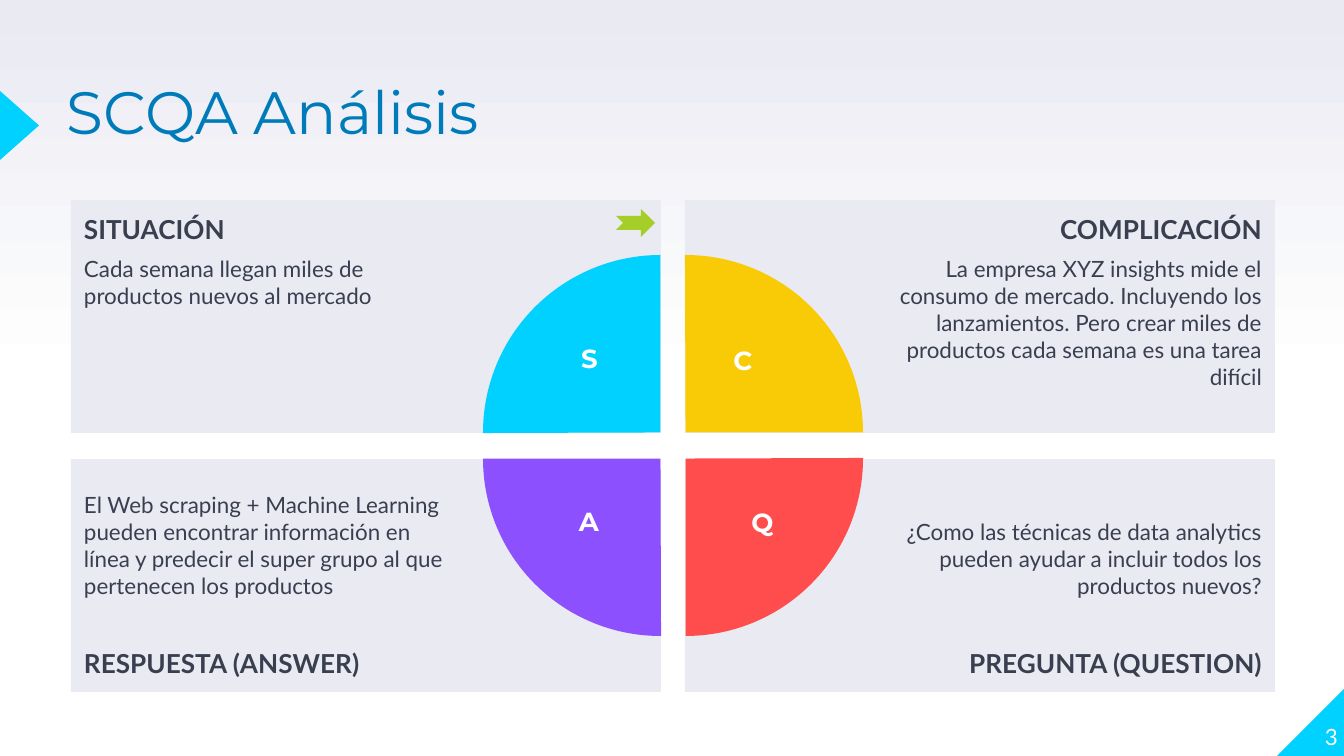
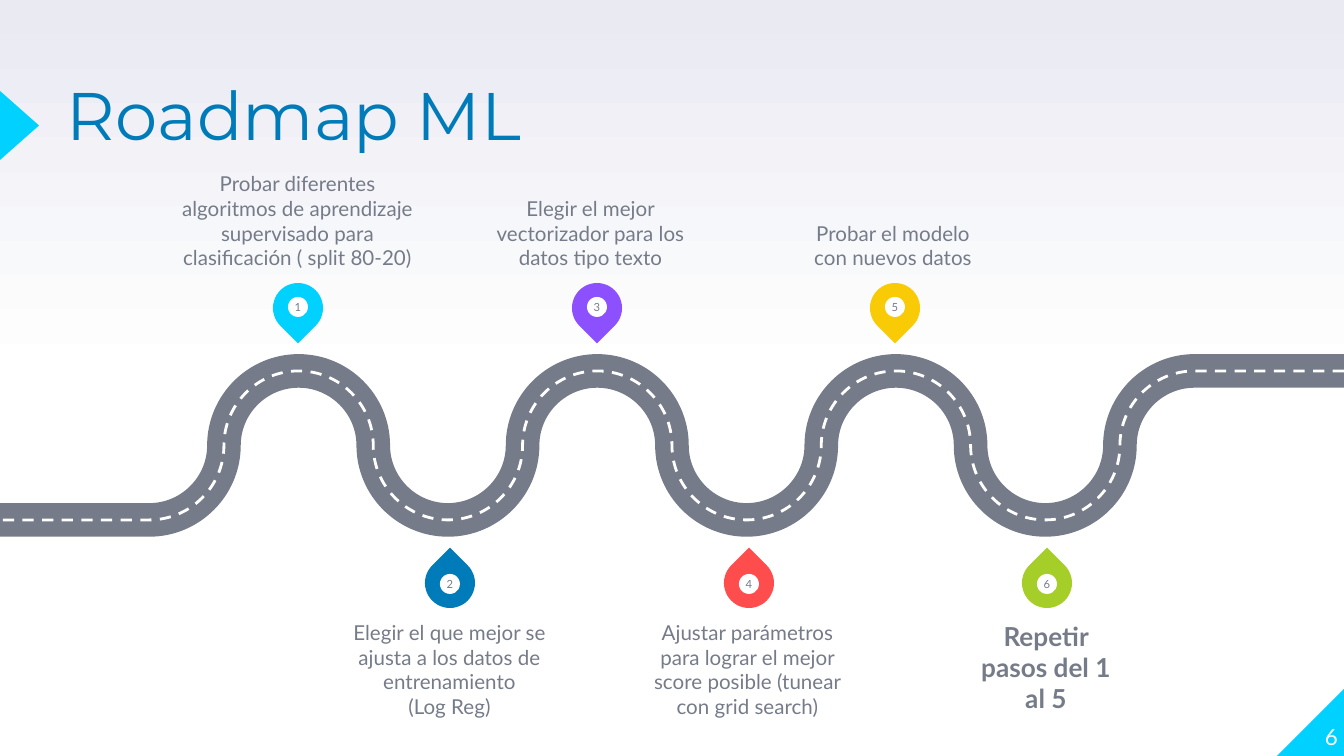
from copy import deepcopy
from dataclasses import dataclass
from typing import Any

from pptx import Presentation
from pptx.dml.color import RGBColor as Rgb
from pptx.enum.dml import MSO_LINE as Dash
from pptx.enum.shapes import MSO_SHAPE as Kind
from pptx.enum.text import MSO_ANCHOR as Anchor
from pptx.enum.text import MSO_AUTO_SIZE as Fit
from pptx.enum.text import PP_ALIGN as Align
from pptx.oxml.ns import qn
from pptx.oxml.xmlchemy import OxmlElement as Node
from pptx.shapes.autoshape import Shape
from pptx.slide import Slide
from pptx.util import Pt

WIDE, HIGH = 1344, 756
SCALE = 914400 / 134.4
ARC = WIDE / 18  # radius of each bend of the road
LOOP = 4 * ARC  # one full wave of the road


@dataclass(frozen=True)
class Theme:
    """Colours, fonts and type sizes of the deck."""
    white: str = "FFFFFF"
    mist: str = "E9EAF2"
    ink: str = "3A3F50"
    gray: str = "757B89"
    blue: str = "007BB9"
    cyan: str = "00D1FF"
    gold: str = "F9CB07"
    red: str = "FF4D4D"
    plum: str = "8C50FF"
    lime: str = "A6CE28"
    head: str = "Montserrat"
    body: str = "Lato"
    large: int = 14
    base: int = 12
    small: int = 11
    tiny: int = 6


@dataclass(frozen=True)
class Box:
    """A frame in pixels."""
    x: float
    y: float
    w: float
    h: float


@dataclass(frozen=True)
class Para:
    """A paragraph of one run."""
    text: str
    size: float
    color: str
    font: str
    bold: bool = False
    before: float = 0
    after: float = 0


@dataclass(frozen=True)
class Panel:
    """One quarter of the SCQA wheel with its text; col and row are 0 or 1."""
    col: int
    row: int
    turn: int
    color: str
    mark: str
    spot: Box
    head: str
    body: str


@dataclass(frozen=True)
class Step:
    """One stop on the road, with its caption's left edge and width."""
    color: str
    left: int
    width: int
    lines: tuple[str, ...]
    strong: bool = False


T = Theme()

PANELS = (
    Panel(0, 0, 0, T.cyan, "S", Box(564, 329, 51, 66), "SITUACIÓN",
          "Cada semana llegan miles de productos nuevos al mercado"),
    Panel(1, 0, 90, T.gold, "C", Box(714, 331, 58, 66), "COMPLICACIÓN",
          "La empresa XYZ insights mide el consumo de mercado. Incluyendo los "
          "lanzamientos. Pero crear miles de productos cada semana es una "
          "tarea difícil"),
    Panel(0, 1, 270, T.plum, "A", Box(559, 492, 60, 65), "RESPUESTA (ANSWER)",
          "El Web scraping + Machine Learning pueden encontrar información en "
          "línea y predecir el super grupo al que pertenecen los productos"),
    Panel(1, 1, 180, T.red, "Q", Box(731, 493, 63, 66), "PREGUNTA (QUESTION)",
          "¿Como las técnicas de data analytics pueden ayudar a incluir todos "
          "los productos nuevos?"),
)

STEPS = (
    Step(T.cyan, 172, 251, ("Probar diferentes algoritmos de aprendizaje "
                            "supervisado para clasificación ( split 80-20)",)),
    Step(T.blue, 348, 203, ("Elegir el que mejor se ajusta a los datos de "
                            "entrenamiento", "(Log Reg)")),
    Step(T.plum, 489, 203, ("Elegir el mejor vectorizador para los datos "
                            "tipo texto",)),
    Step(T.red, 646, 203, ("Ajustar parámetros para lograr el mejor score "
                           "posible (tunear con grid search)",)),
    Step(T.gold, 798, 190, ("Probar el modelo con nuevos datos",)),
    Step(T.lime, 976, 140, ("Repetir pasos del 1 al 5",), True),
)


def px(num: float) -> int:
    """Turn pixels into EMU."""
    return round(num * SCALE)


def frame(box: Box) -> tuple[int, int, int, int]:
    """Give a box as EMU."""
    return px(box.x), px(box.y), px(box.w), px(box.h)


def write(shape: Any, paras: list[Para], align: Align = Align.LEFT,
          anchor: Anchor = Anchor.TOP,
          pad: tuple[int, int, int, int] = (0, 0, 0, 0)) -> None:
    """Fill a shape with text; pad is left, top, right, bottom."""
    tf = shape.text_frame
    tf.word_wrap, tf.auto_size = True, Fit.NONE
    tf.vertical_anchor = anchor
    tf.margin_left, tf.margin_top, tf.margin_right, tf.margin_bottom = map(px, pad)
    for num, para in enumerate(paras):
        line = tf.add_paragraph() if num else tf.paragraphs[0]
        line.alignment = align
        line.space_before, line.space_after = Pt(para.before), Pt(para.after)
        run = line.add_run()
        run.text = para.text
        font = run.font
        font.name, font.size, font.bold = para.font, Pt(para.size), para.bold
        font.color.rgb = Rgb.from_string(para.color)


def draw(shapes: Any, kind: Kind, box: Box, color: str, turn: int = 0) -> Shape:
    """Add a flat filled shape without outline."""
    shape = shapes.add_shape(kind, *frame(box))
    shape.shadow.inherit = False
    shape.fill.solid()
    shape.fill.fore_color.rgb = Rgb.from_string(color)
    shape.line.fill.background()
    shape.rotation = turn
    return shape


def paint(back: Any) -> None:
    """Give a background the fade from white up to mist."""
    fill = back.fill
    fill.gradient()
    fill.gradient_angle = 90
    first = fill.gradient_stops[0]
    first.color.rgb = Rgb.from_string(T.white)
    first.position = 0
    last = fill.gradient_stops[1]
    last.color.rgb = Rgb.from_string(T.mist)
    last.position = 1
    stops = back.fill._fill._gradFill.find(qn("a:gsLst"))
    mid = deepcopy(stops[0])
    mid.set("pos", "50000")
    stops.insert(1, mid)


def start(deck: Any, title: str, size: int, page: int) -> Slide:
    """Add a slide with corner, marker, title and page number."""
    slide = deck.slides.add_slide(deck.slide_layouts[5])
    paint(slide.background)
    corner = draw(slide.shapes, Kind.RIGHT_TRIANGLE, Box(1277, 687, 69, 69), T.cyan)
    corner.element.spPr.xfrm.set("flipH", "1")
    draw(slide.shapes, Kind.ISOSCELES_TRIANGLE, Box(-15, 106, 69, 39), T.cyan, 90)
    name = slide.shapes.title
    name.left, name.top, name.width, name.height = frame(Box(67, 89, 829, 159))
    write(name, [Para(title, size, T.blue, T.head)])
    name.text_frame.paragraphs[0].line_spacing = 0.8
    label = slide.shapes.add_textbox(*frame(Box(1271, 681, 67, 69)))
    write(label, [Para(str(page), T.base, T.white, T.body)],
          Align.RIGHT, Anchor.BOTTOM)
    return slide


def quad(slide: Slide, item: Panel) -> None:
    """Draw the text panel of one quarter."""
    box = Box(71 + 614 * item.col, 200 + 259 * item.row, 590, 233)
    shape = draw(slide.shapes, Kind.RECTANGLE, box, T.mist)
    low = item.row == 1
    head = Para(item.head, T.large, T.ink, T.body, True, 26 if low else 0,
                6 if low else 0)
    body = Para(item.body, T.base, T.ink, T.body, False, 6, 0 if low else 6)
    write(shape, [body, head] if low else [head, body],
          Align.RIGHT if item.col else Align.LEFT,
          Anchor.BOTTOM if low else Anchor.TOP,
          (202, 13, 13, 13) if item.col else (13, 13, 202, 13))


def wedge(slide: Slide, item: Panel) -> None:
    """Draw the quarter disc."""
    box = Box(483 + 25 * item.col, 255 + 26 * item.row, 355, 355)
    pie = draw(slide.shapes, Kind.PIE, box, item.color, item.turn)
    pie.adjustments[0], pie.adjustments[1] = 107.89, 162


def letter(slide: Slide, item: Panel) -> None:
    """Write the letter on its quarter disc."""
    label = slide.shapes.add_textbox(*frame(item.spot))
    write(label, [Para(item.mark, T.large, T.white, T.head, True)],
          Align.CENTER, pad=(13, 13, 13, 13))


def bends() -> list[tuple[float, float]]:
    """List the road's curve points from right to left, three to a bend."""
    rows = (371, 445.5, 520, 445.5)
    pull = 0.55
    dots: list[tuple[float, float]] = []
    for num in range(14):
        x = (16 - num) * ARC
        y, end = rows[num % 4], rows[(num + 1) % 4]
        rise = end - y
        if num % 2 == 0:
            dots += [(x - pull * ARC, y), (x - ARC, end - pull * rise)]
        else:
            dots += [(x, y + pull * rise), (x - ARC + pull * ARC, end)]
        dots.append((x - ARC, end))
    return dots


def road(slide: Slide, color: str, width: float, dash: Any = None) -> None:
    """Draw the winding road as one open curve."""
    dots = [(16 * ARC, 371), *bends(), (0, 520)]
    build = slide.shapes.build_freeform(px(WIDE), px(371), 1.0)
    build.add_line_segments([(px(x), px(y)) for x, y in dots], close=False)
    shape = build.convert_to_shape()
    track = shape.element.find(".//" + qn("a:path"))
    legs = track.findall(qn("a:lnTo"))[1:-1]
    for num in range(0, len(legs), 3):
        curve = Node("a:cubicBezTo")
        legs[num].addprevious(curve)
        for leg in legs[num:num + 3]:
            curve.append(leg[0])
            track.remove(leg)
    shape.shadow.inherit = False
    shape.fill.background()
    shape.line.color.rgb = Rgb.from_string(color)
    shape.line.width = Pt(width)
    if dash is not None:
        shape.line.dash_style = dash


def pin(slide: Slide, num: int, item: Step) -> None:
    """Draw a numbered pin, above the road for odd steps, below for even."""
    low = num % 2
    x = round((425 if low else 273) + num // 2 * LOOP)
    group = slide.shapes.add_group_shape().shapes
    draw(group, Kind.TEAR, Box(x, 558 if low else 283, 50, 50), item.color,
         315 if low else 135)
    dot = draw(group, Kind.OVAL, Box(x + 15, 574 if low else 297, 20, 20), T.white)
    write(dot, [Para(str(num + 1), T.tiny, T.gray, T.body)],
          Align.CENTER, Anchor.MIDDLE)


def note(slide: Slide, num: int, item: Step) -> None:
    """Write a step's caption beyond its pin."""
    low = num % 2
    box = Box(item.left, 620 if low else 192, item.width, 78)
    size = T.large if item.strong else T.small
    write(slide.shapes.add_textbox(*frame(box)),
          [Para(text, size, T.gray, T.body, item.strong) for text in item.lines],
          Align.CENTER, Anchor.TOP if low else Anchor.BOTTOM)


def main() -> None:
    """Build and save the deck."""
    deck = Presentation()
    deck.slide_width, deck.slide_height = px(WIDE), px(HIGH)

    wheel = start(deck, "SCQA Análisis", 32, 3)
    for part in (quad, wedge, letter):
        for item in PANELS:
            part(wheel, item)
    draw(wheel.shapes, Kind.NOTCHED_RIGHT_ARROW, Box(616, 209, 39, 28), T.lime)

    plan = start(deck, "Roadmap ML", 36, 6)
    road(plan, T.gray, 18)
    road(plan, T.white, 1.5, Dash.DASH)
    for part in (pin, note):
        for num, step in enumerate(STEPS):
            part(plan, num, step)

    deck.save("out.pptx")


main()
